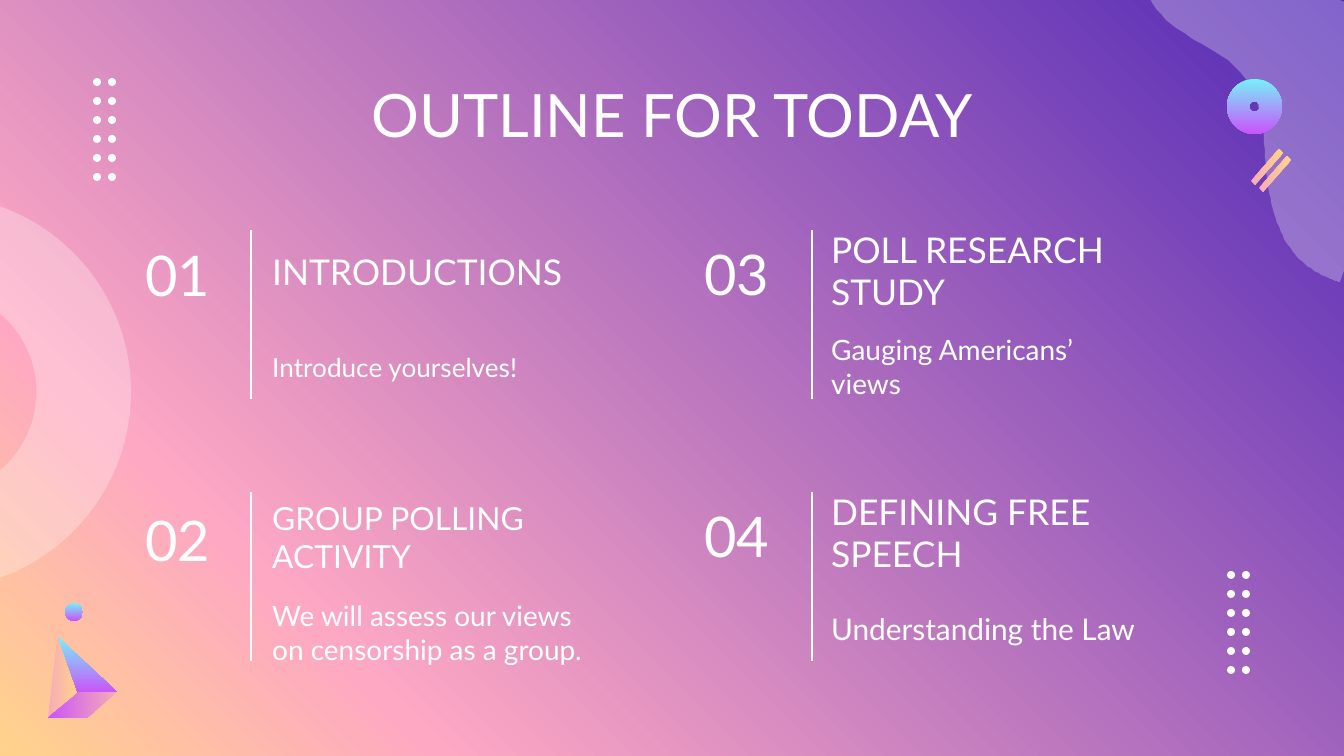
from lxml.etree import SubElement
from pptx import Presentation
from pptx.dml.color import RGBColor
from pptx.enum.shapes import MSO_CONNECTOR, MSO_SHAPE
from pptx.enum.text import MSO_ANCHOR, PP_ALIGN
from pptx.oxml.ns import qn
from pptx.util import Pt

UNIT = 914400 / 134.4  # EMU in one px
COLORS = {
    "white": "FFFFFF", "indigo": "5229B7", "pink": "FEA8C3", "sand": "FFD38B",
    "rose": "F7ABB7", "aqua": "78F0F9", "violet": "C954FA",
}
COOL = [(0, "aqua"), (100, "violet")]
WARM = [(0, "rose"), (100, "sand")]
DUSK = [(0, "rose"), (100, "violet")]
NIGHT = [(0, "indigo"), (79, "pink"), (100, "sand")]

# number left, line left, heading left
LEFT, RIGHT = (132, 251, 259), (691, 812, 818)
# column, line top, heading top, heading width, number, heading, size, body, size
TOPICS = [
    (LEFT, 230, 231, 382, "01", "INTRODUCTIONS", 19, "Introduce yourselves!", 14),
    (LEFT, 492, 496, 344, "02", "GROUP POLLING ACTIVITY", 17,
     "We will assess our views on censorship as a group.", 15),
    (RIGHT, 230, 230, 394, "03", "POLL RESEARCH STUDY", 19,
     "Gauging Americans’ views", 15),
    (RIGHT, 492, 492, 394, "04", "DEFINING FREE SPEECH", 19,
     "Understanding the Law", 16),
]
WAVE = [
    (1137, -70), (1130, -36), (1144, 1), (1171, 24),
    (1196, 44), (1230, 54), (1249, 83),
    (1267, 116), (1263, 156), (1269, 192),
    (1273, 211), (1278, 228), (1288, 245),
    (1297, 258), (1309, 269), (1324, 276),
    (1329, 278), (1335, 281), (1340, 282),
]


def px(*vals):
    return [round(val * UNIT) for val in vals]


def rgb(name):
    return RGBColor.from_string(COLORS[name])


def shade(fill, root, stops, angle):
    """Fill with a gradient; the angle runs clockwise."""
    fill.gradient()
    fill.gradient_angle = 360 - angle
    ramp = next(root.iter(qn("a:gsLst")))
    ramp.clear()
    for pos, name in stops:
        stop = SubElement(ramp, qn("a:gs"), pos=str(pos * 1000))
        SubElement(stop, qn("a:srgbClr"), val=COLORS[name])


def paint(shape, stops=None, angle=90, alpha=None):
    """Fill a shape with a gradient, or with white if there are no stops."""
    shape.shadow.inherit = False
    shape.line.fill.background()
    if stops:
        shade(shape.fill, shape.element, stops, angle)
        return
    shape.fill.solid()
    shape.fill.fore_color.rgb = rgb("white")
    if alpha:
        color = next(shape.element.iter(qn("a:srgbClr")))
        SubElement(color, qn("a:alpha"), val=str(alpha * 1000))


def disc(shapes, left, top, size, hole=None, **look):
    """Draw a circle, or a ring whose band is a share of its size."""
    kind = MSO_SHAPE.DONUT if hole else MSO_SHAPE.OVAL
    shape = shapes.add_shape(kind, *px(left, top, size, size))
    if hole:
        shape.adjustments[0] = hole
    paint(shape, **look)


def patch(shapes, points, **look):
    pen = shapes.build_freeform(*points[0], scale=UNIT)
    pen.add_line_segments(points[1:], close=True)
    paint(pen.convert_to_shape(), **look)


def curve(knots, steps=16):
    """Turn a chain of cubic curves into points."""
    points = [knots[0]]
    for at in range(0, len(knots) - 1, 3):
        for step in range(1, steps + 1):
            t = step / steps
            parts = ((1 - t) ** 3, 3 * t * (1 - t) ** 2, 3 * t * t * (1 - t), t ** 3)
            points.append(tuple(
                sum(part * knot[axis] for part, knot in zip(parts, knots[at:at + 4]))
                for axis in (0, 1)))
    return points


def write(shapes, text, left, top, width, height, size=30, align=PP_ALIGN.LEFT):
    frame = shapes.add_textbox(*px(left, top, width, height)).text_frame
    frame.word_wrap = True
    frame.vertical_anchor = MSO_ANCHOR.MIDDLE
    frame.margin_left = frame.margin_right = px(13.44)[0]
    frame.margin_top = frame.margin_bottom = px(13.44)[0]
    para = frame.paragraphs[0]
    para.text = text
    para.alignment = align
    font = para.runs[0].font
    font.name, font.size, font.color.rgb = "Lato", Pt(size), rgb("white")


def rule(shapes, left, top, height):
    line = shapes.add_connector(
        MSO_CONNECTOR.STRAIGHT, *px(left, top, left, top + height))
    line.line.color.rgb = rgb("white")
    line.line.width = Pt(1.5)
    SubElement(line.element.spPr, qn("a:effectLst"))


def dots(shapes, left, top):
    group = shapes.add_group_shape().shapes
    for col in range(2):
        for row in range(6):
            disc(group, left + 15 * col, top + 19 * row, 8)


def topic(shapes, column, start, top, width, number, head, large, body, small):
    num, bar, left = column
    write(shapes, head, left, top, width, 81, size=large)
    write(shapes, number, num, top + 4, 120, 78)
    write(shapes, body, left, top + 101, 344, 71, size=small)
    rule(shapes, bar, start, 169)


def prism(shapes):
    group = shapes.add_group_shape().shapes
    tip, fold, foot, side, base = (58, 637), (78, 693), (48, 718), (117, 692), (87, 718)
    patch(group, [foot, fold, tip], stops=WARM, angle=0)
    patch(group, [tip, fold, side], stops=COOL)
    patch(group, [side, fold, foot, base], stops=DUSK, angle=180)


def main():
    deck = Presentation()
    deck.slide_width, deck.slide_height = px(1344, 756)
    slide = deck.slides.add_slide(deck.slide_layouts[6])
    shade(slide.background.fill, slide.element, NIGHT, 135)
    shapes = slide.shapes
    disc(shapes, -263, 195, 394, hole=0.24, alpha=28)
    patch(shapes, curve(WAVE) + [(1429, 31)], alpha=28)
    for item in TOPICS:
        topic(shapes, *item)
    write(shapes, "OUTLINE FOR TODAY", 106, 78, 1133, 71, size=32,
          align=PP_ALIGN.CENTER)
    dots(shapes, 1227, 571)
    dots(shapes, 93, 78)
    prism(shapes)
    disc(shapes, 1227, 79, 55, hole=0.4, stops=COOL)
    disc(shapes, 65, 603, 18, stops=COOL)
    for x, y in ((1251, 149), (1259, 156)):
        patch(shapes, [(x, y + 32), (x + 28, y), (x + 32, y + 4), (x + 4, y + 36)],
              stops=WARM, angle=0)
    deck.save("out.pptx")


if __name__ == "__main__":
    main()
